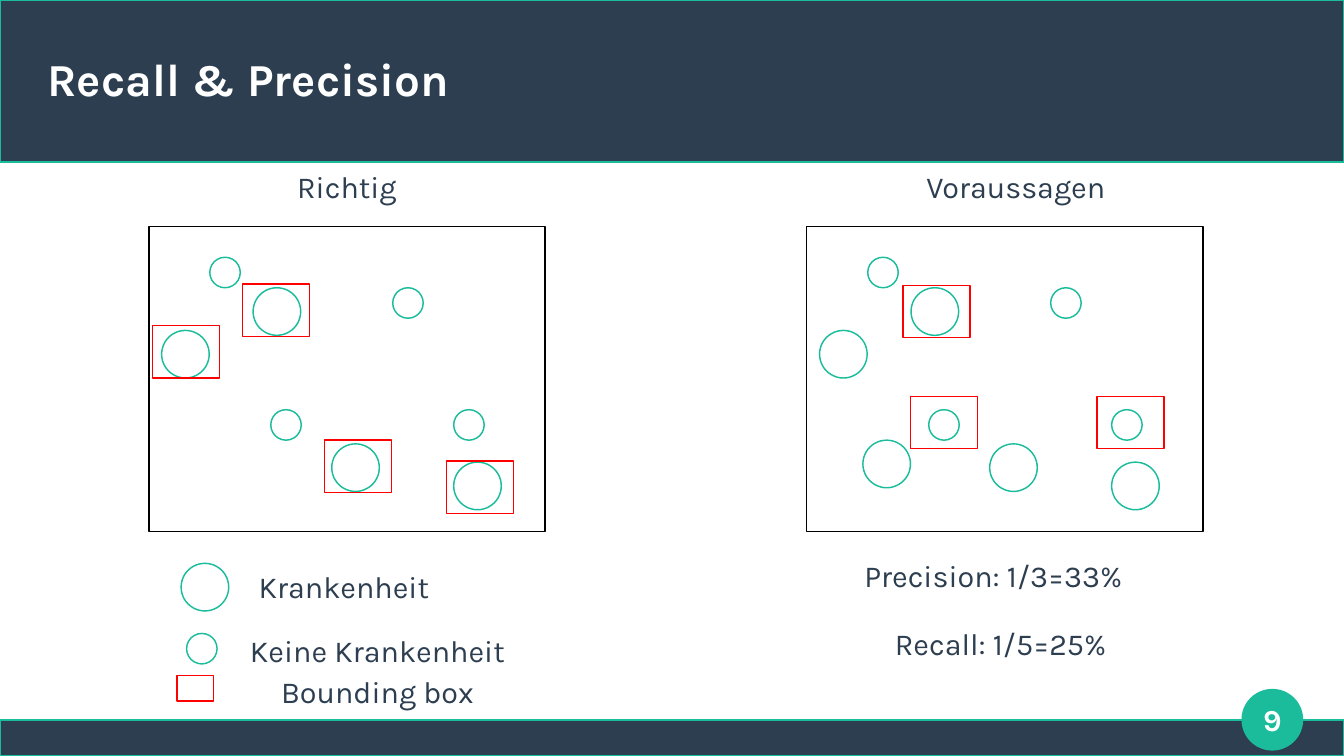
from pptx import Presentation
from pptx.dml.color import RGBColor
from pptx.enum.shapes import MSO_SHAPE as Preset
from pptx.enum.text import MSO_ANCHOR as Anchor, PP_ALIGN as Align
from pptx.util import Inches, Pt

NAVY = RGBColor(0x2C, 0x3E, 0x50)
TEAL = RGBColor(0x1A, 0xBC, 0x9C)
WHITE = RGBColor(0xFF, 0xFF, 0xFF)
BLACK = RGBColor(0x00, 0x00, 0x00)
RED = RGBColor(0xFF, 0x00, 0x00)

# The slide is a grid of quarter-inch cells
CELL = 0.25
COLUMNS, ROWS = 44.08, 24.8
PANEL_TOP, PANEL_WIDTH, PANEL_HEIGHT = 7.44, 13, 10
HEALTHY, DISEASE = 1, 1.56
BOUND_WIDTH, BOUND_HEIGHT = 2.2, 1.72
LABEL_HEIGHT = 1.76

# Positions inside a panel, in cells
HEALTHY_SPOTS = [(2, 1), (10, 6), (4, 6), (8, 2)]
DISEASE_SPOTS = [(3.42, 2), (6, 7.12), (0.42, 3.4), (10, 7.72)]
EXTRA_SPOT = (1.84, 7)
TRUE_BOUNDS = [(3.08, 1.88), (0.12, 3.24), (5.76, 7), (9.76, 7.68)]
PREDICTED_BOUNDS = [(3.16, 1.92), (3.4, 5.56), (9.52, 5.56)]


def cells(*counts):
    return [Inches(count * CELL) for count in counts]


def add_figure(page, preset, column, row, width, height, line, fill=None):
    figure = page.shapes.add_shape(preset, *cells(column, row, width, height))
    figure.shadow.inherit = False
    if fill is None:
        figure.fill.background()
    else:
        figure.fill.solid()
        figure.fill.fore_color.rgb = fill
    figure.line.color.rgb = line
    figure.line.width = Pt(0.85)
    return figure


def add_circle(page, column, row, size, fill=WHITE):
    return add_figure(page, Preset.OVAL, column, row, size, size, TEAL, fill)


def add_bound(page, column, row, width=BOUND_WIDTH, height=BOUND_HEIGHT):
    add_figure(page, Preset.RECTANGLE, column, row, width, height, RED)


def write(box, text, color=NAVY, size=18, bold=False, align=Align.CENTER):
    frame = box.text_frame
    frame.word_wrap = True
    frame.vertical_anchor = Anchor.MIDDLE
    frame.margin_left = frame.margin_right = 0
    frame.margin_top = frame.margin_bottom = 0
    para = frame.paragraphs[0]
    para.alignment = align
    span = para.add_run()
    span.text = text
    span.font.name = "Karla"
    span.font.size = Pt(size)
    span.font.bold = bold
    span.font.color.rgb = color


def add_label(page, text, column, row, width):
    write(page.shapes.add_textbox(*cells(column, row, width, LABEL_HEIGHT)), text)


def add_panel(page, left, disease_spots, bounds):
    add_figure(page, Preset.RECTANGLE, left, PANEL_TOP,
               PANEL_WIDTH, PANEL_HEIGHT, BLACK, WHITE)
    for spots, size in ((HEALTHY_SPOTS, HEALTHY), (disease_spots, DISEASE)):
        for column, row in spots:
            add_circle(page, left + column, PANEL_TOP + row, size)
    for column, row in bounds:
        add_bound(page, left + column, PANEL_TOP + row)


def add_frame(page):
    # Footer and header bands
    for row, height in ((23.62, 1.18), (0, 5.32)):
        add_figure(page, Preset.RECTANGLE, 0, row, COLUMNS, height, TEAL, NAVY)
    title = page.shapes.add_textbox(*cells(1.56, 1, 40.96, 3.16))
    write(title, "Recall & Precision", WHITE, 27, True, Align.LEFT)
    # Page number
    write(add_circle(page, 40.74, 22.62, 1.98, TEAL), "9", WHITE, bold=True)


def add_legend(page):
    add_circle(page, 5.94, 18.48, DISEASE)
    add_label(page, "Krankenheit", 8.04, 18.36, 6.48)
    add_circle(page, 6.12, 20.78, HEALTHY)
    add_label(page, "Keine Krankenheit", 6.88, 20.44, 11)
    add_bound(page, 5.8, 22.16, 1.2, 0.84)
    add_label(page, "Bounding box", 6.88, 21.8, 11)


def main():
    deck = Presentation()
    deck.slide_width, deck.slide_height = cells(COLUMNS, ROWS)
    page = deck.slides.add_slide(deck.slide_layouts[6])
    add_frame(page)

    # Ground truth
    add_label(page, "Richtig", 6.64, 5.24, 9.48)
    add_panel(page, 4.88, DISEASE_SPOTS, TRUE_BOUNDS)
    add_legend(page)

    # Predictions and their scores
    add_label(page, "Voraussagen", 24.32, 5.24, 18)
    add_panel(page, 26.46, DISEASE_SPOTS + [EXTRA_SPOT], PREDICTED_BOUNDS)
    add_label(page, "Precision: 1/3=33%", 26.88, 18, 11.4)
    add_label(page, "Recall: 1/5=25%", 28.32, 20.24, 9)

    deck.save("out.pptx")


if __name__ == "__main__":
    main()
